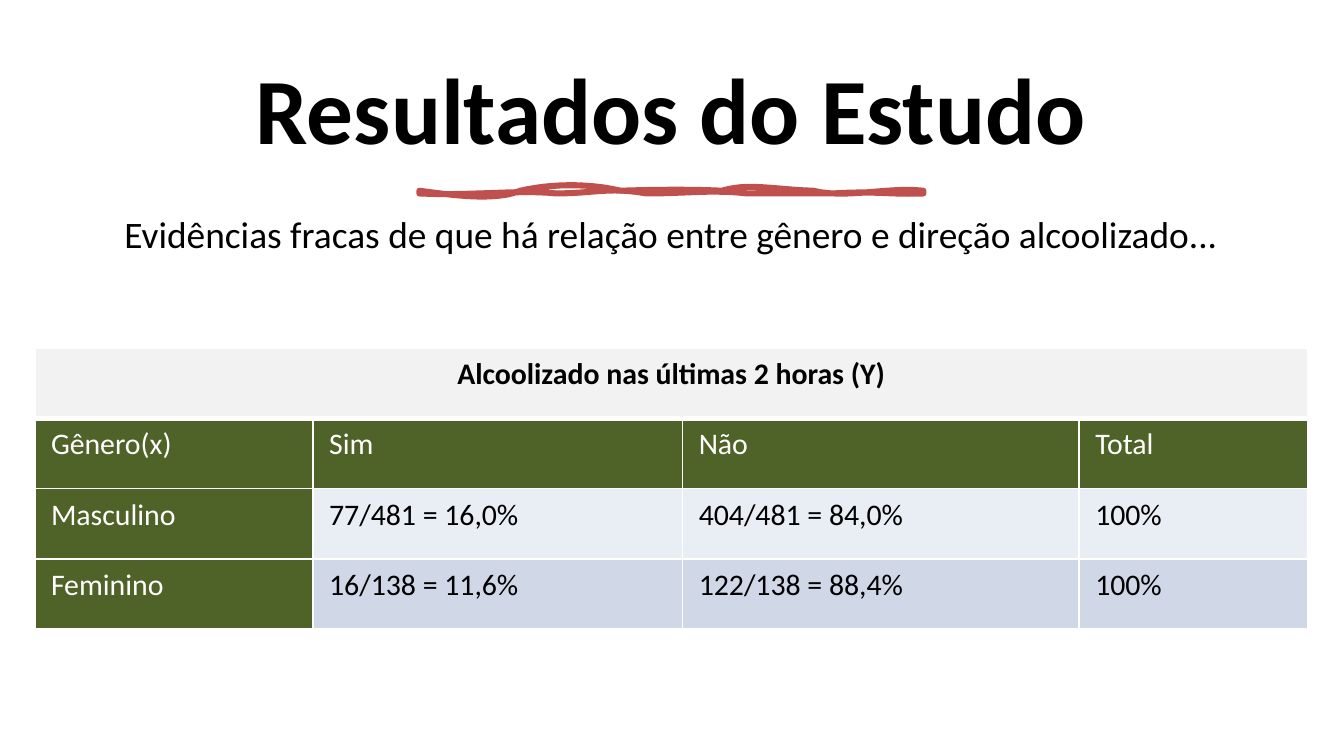
from lxml import etree
from pptx import Presentation
from pptx.dml.color import RGBColor
from pptx.enum.text import MSO_ANCHOR, PP_ALIGN
from pptx.oxml.ns import qn
from pptx.util import Inches, Pt

MIDDLE = MSO_ANCHOR.MIDDLE
LEFT, CENTER = PP_ALIGN.LEFT, PP_ALIGN.CENTER
COLORS = {"black": "000000", "white": "FFFFFF", "red": "C0504D", "gray": "F2F2F2",
          "green": "4F6228", "light": "E9EDF4", "blue": "D0D8E8"}


def color(name):
    return RGBColor.from_string(COLORS[name])


def write(frame, text, size, tint="black", bold=False, align=CENTER, **spacing):
    frame.text = text
    para = frame.paragraphs[0]
    for key, value in {"alignment": align, **spacing}.items():
        setattr(para, key, value)
    font = para.runs[0].font
    for key, value in {"name": "Calibri", "size": Pt(size), "bold": bold}.items():
        setattr(font, key, value)
    font.color.rgb = color(tint)


deck = Presentation()
deck.slide_width, deck.slide_height = Inches(10), Inches(10 * 9 / 16)
slide = deck.slides.add_slide(deck.slide_layouts[5])
shapes = slide.shapes

title = shapes.title
for key, value in {"left": 0.52, "top": 0.34, "width": 8.95, "height": 1.02}.items():
    setattr(title, key, Inches(value))
title.text_frame.vertical_anchor = MIDDLE
write(title.text_frame, "Resultados do Estudo", 50, bold=True, line_spacing=0.9)

claim = shapes.add_textbox(Inches(0.52), Inches(1.48), Inches(8.95), Inches(0.56))
claim.text_frame.word_wrap = True
claim.text_frame.vertical_anchor = MIDDLE
write(claim.text_frame,
      "Evidências fracas de que há relação entre gênero e direção alcoolizado...",
      20, line_spacing=0.9)

start = (3.12, 1.42)
curves = [
    ((3.35, 1.45), (3.68, 1.5), (3.87, 1.42)),
    ((4.09, 1.37), (4.36, 1.36), (4.62, 1.42)),
    ((4.89, 1.41), (5.19, 1.41), (5.37, 1.42)),
    ((5.57, 1.36), (5.75, 1.41), (6.05, 1.42)),
    ((6.29, 1.48), (6.62, 1.39), (6.87, 1.42)),
    ((6.87, 1.43), (6.87, 1.43), (6.87, 1.44)),
    ((6.64, 1.45), (6.5, 1.42), (6.2, 1.44)),
    ((5.89, 1.44), (5.83, 1.44), (5.56, 1.44)),
    ((5.31, 1.41), (5.1, 1.44), (4.81, 1.44)),
    ((4.53, 1.39), (4.42, 1.44), (4.14, 1.44)),
    ((3.87, 1.41), (3.52, 1.46), (3.12, 1.44)),
]
points, here = [], start
for one, two, end in curves:
    for step in range(1, 13):
        t = step / 12
        u = 1 - t
        points.append(tuple(
            Inches(u**3 * a + 3 * u * u * t * b + 3 * u * t * t * c + t**3 * d)
            for a, b, c, d in zip(here, one, two, end)))
    here = end
builder = shapes.build_freeform(Inches(start[0]), Inches(start[1]))
builder.add_line_segments(points, close=True)
stroke = builder.convert_to_shape()
stroke.shadow.inherit = False
stroke.fill.solid()
stroke.fill.fore_color.rgb = color("red")
stroke.line.color.rgb = color("red")
stroke.line.width = Pt(3.25)
outline = next(stroke.element.iter(qn("a:path")))
outline.set("fill", "none")
etree.SubElement(stroke.element.spPr.find(qn("a:ln")), qn("a:round"))

rows = [
    ["Alcoolizado nas últimas 2 horas (Y)", "", "", ""],
    ["Gênero(x)", "Sim", "Não", "Total"],
    ["Masculino", "77/481 = 16,0%", "404/481 = 84,0%", "100%"],
    ["Feminino", "16/138 = 11,6%", "122/138 = 88,4%", "100%"],
]
fills = ["gray", "green", "light", "blue"]
widths = [2.07, 2.75, 2.95, 1.7]
height = 2.09
table = shapes.add_table(len(rows), len(widths), Inches(0.26), Inches(2.59),
                         Inches(sum(widths)), Inches(height)).table
for column, width in zip(table.columns, widths):
    column.width = Inches(width)
for row in table.rows:
    row.height = Inches(height / len(rows))
table.cell(0, 0).merge(table.cell(0, 3))

margins = {"margin_left": 0.12, "margin_right": 0.12, "margin_top": 0.06, "margin_bottom": 0.06}
for r, texts in enumerate(rows):
    for c, text in enumerate(texts):
        cell = table.cell(r, c)
        for key, value in margins.items():
            setattr(cell, key, Inches(value))
        props = cell._tc.get_or_add_tcPr()
        for side in ("L", "R", "T", "B"):
            thick = (r, side) in ((0, "B"), (1, "T"))
            edge = etree.SubElement(props, qn("a:ln" + side), w=str(Pt(3 if thick else 1)))
            paint = etree.SubElement(edge, qn("a:solidFill"))
            etree.SubElement(paint, qn("a:srgbClr"), val=COLORS["white"])
        label = r == 1 or (r > 1 and c == 0)
        cell.fill.solid()
        cell.fill.fore_color.rgb = color("green" if label else fills[r])
        if text:
            write(cell.text_frame, text, 16, "white" if label else "black",
                  bold=r == 0, align=LEFT if r else CENTER)

deck.save("out.pptx")
